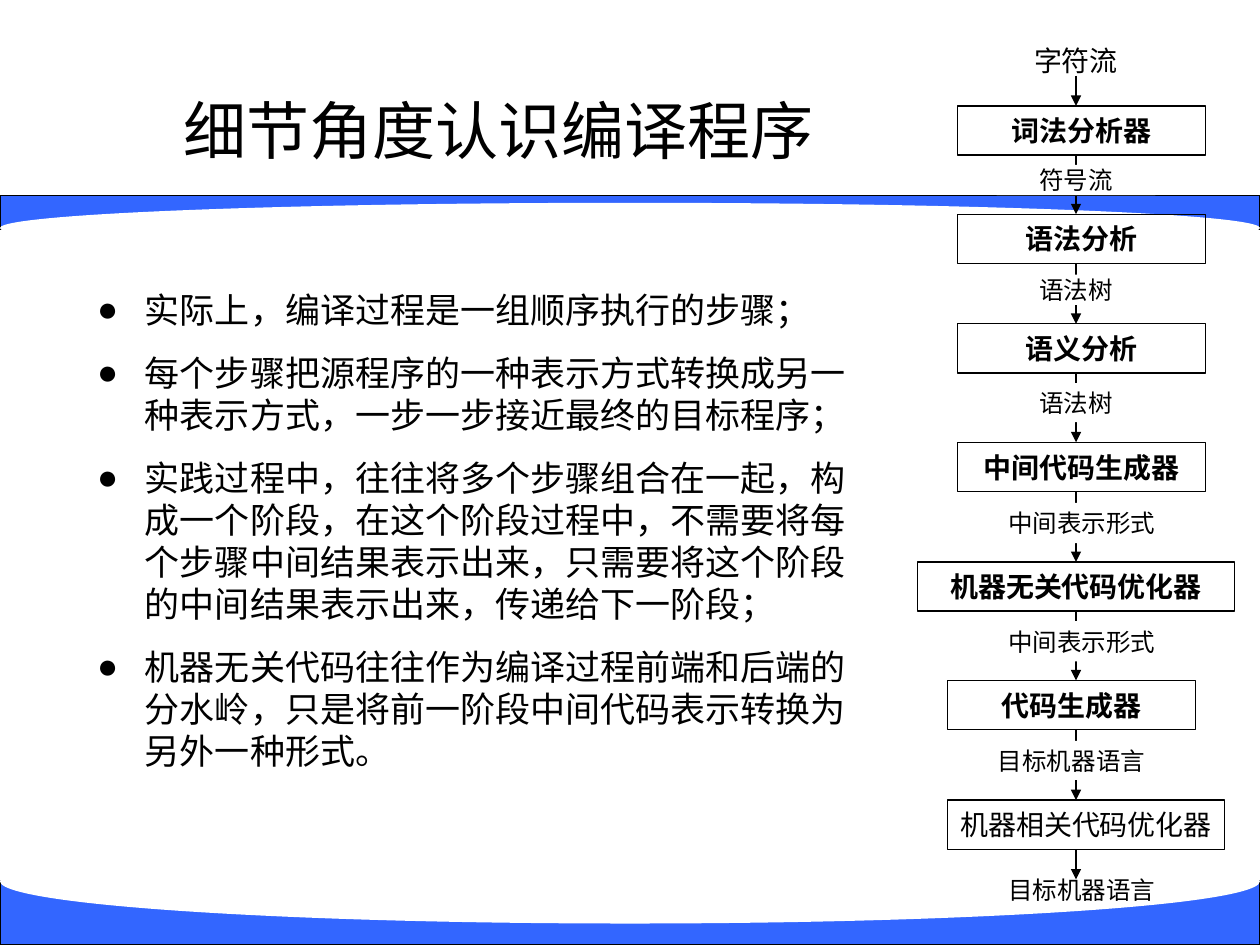
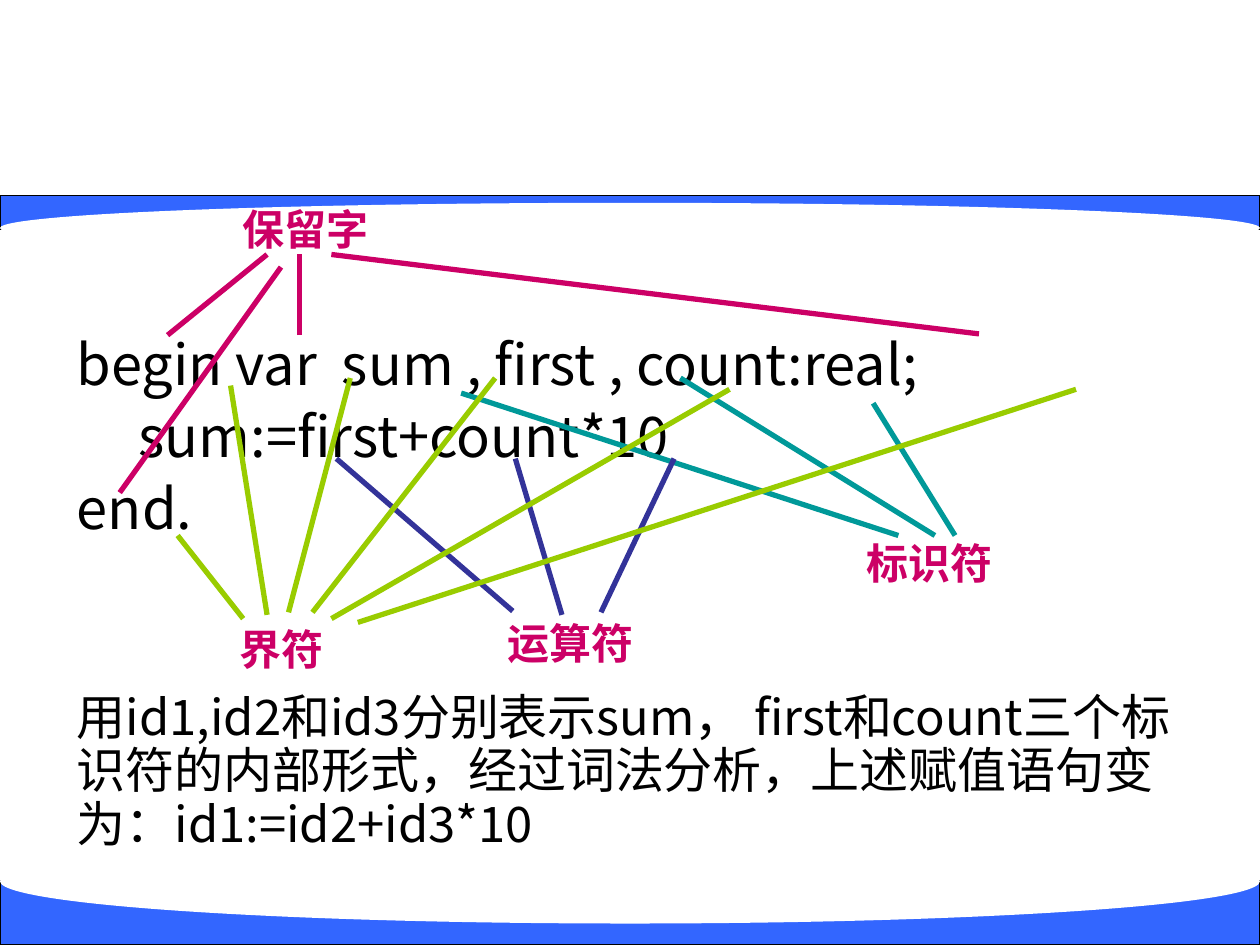
from pptx import Presentation
from pptx.dml.color import RGBColor
from pptx.enum.shapes import MSO_CONNECTOR, MSO_SHAPE
from pptx.enum.text import MSO_ANCHOR, MSO_AUTO_SIZE, PP_ALIGN
from pptx.oxml.ns import qn
from pptx.util import Inches, Pt
from lxml.etree import SubElement

BLACK = RGBColor(0x00, 0x00, 0x00)
WHITE = RGBColor(0xFF, 0xFF, 0xFF)
BLUE = RGBColor(0x33, 0x66, 0xFF)
MAGENTA = RGBColor(0xCC, 0x00, 0x66)
TEAL = RGBColor(0x00, 0x99, 0x99)
INDIGO = RGBColor(0x33, 0x33, 0x99)
LIME = RGBColor(0x99, 0xCC, 0x00)
CJK = "Noto Sans CJK SC"

# Shared bands: (preset, top, height, fill, outline)
BANDS = [
    (MSO_SHAPE.RECTANGLE, 1.55, 0.27, BLUE, BLACK),
    (MSO_SHAPE.OVAL, 1.61, 0.4, WHITE, None),
    (MSO_SHAPE.RECTANGLE, 6.99, 0.51, BLUE, BLACK),
    (MSO_SHAPE.OVAL, 6.66, 0.67, WHITE, None),
]

# Slide 1: compiler steps
STEPS_TITLE = "细节角度认识编译程序"
STEPS_POINTS = [
    "实际上，编译过程是一组顺序执行的步骤；",
    "每个步骤把源程序的一种表示方式转换成另一种表示方式，一步一步接近最终的目标程序；",
    "实践过程中，往往将多个步骤组合在一起，构成一个阶段，在这个阶段过程中，不需要将每个步骤中间结果表示出来，"
    "只需要将这个阶段的中间结果表示出来，传递给下一阶段；",
    "机器无关代码往往作为编译过程前端和后端的分水岭，只是将前一阶段中间代码表示转换为另外一种形式。",
]
FLOW_X, STEP_HEIGHT, FLOW_END = 8.54, 0.39, 6.98
FLOW_INPUT = ("字符流", 7.91, 0.28, 1.26, 0.39)
# (step, left, top, width, bold)
STEPS = [
    ("词法分析器", 7.6, 0.84, 1.97, True),
    ("语法分析", 7.6, 1.7, 1.97, True),
    ("语义分析", 7.6, 2.57, 1.97, True),
    ("中间代码生成器", 7.6, 3.51, 1.97, True),
    ("机器无关代码优化器", 7.28, 4.46, 2.52, True),
    ("代码生成器", 7.52, 5.4, 1.97, True),
    ("机器相关代码优化器", 7.52, 6.35, 2.2, False),
]
# What each step hands on: (result, left, top, width, height)
RESULTS = [
    ("符号流", 7.91, 1.31, 1.26, 0.24),
    ("语法树", 7.91, 2.18, 1.26, 0.24),
    ("语法树", 7.91, 3.04, 1.26, 0.31),
    ("中间表示形式", 7.76, 3.99, 1.65, 0.32),
    ("中间表示形式", 7.76, 4.93, 1.65, 0.32),
    ("目标机器语言", 7.68, 5.88, 1.65, 0.31),
    ("目标机器语言", 7.76, 6.9, 1.65, 0.32),
]

# Slide 2: (line, size, line pitch, space before, indent in inches)
PROGRAM = [
    ("begin var  sum , first , count:real;", 32, 41, 0, 0),
    ("sum:=first+count*10", 32, 41, 0, 0.49),
    ("end.", 32, 41, 0, 0),
    ("用id1,id2和id3分别表示sum， first和count三个标识符的内部形式，"
     "经过词法分析，上述赋值语句变为：id1:=id2+id3*10", 28, 30.6, 86.5, 0),
]
# (token class, label place, line colour, [(x1, y1, x2, y2), ...])
TOKENS = [
    ("保留字", (1.67, 1.57, 1.51, 0.5), MAGENTA, [
        (1.33, 2.66, 2.12, 2.02), (2.38, 2.66, 2.38, 2.02),
        (7.77, 2.65, 2.63, 2.02), (0.95, 3.91, 2.23, 2.12)]),
    ("标识符", (6.78, 4.22, 1.2, 0.5), TEAL, [
        (3.66, 3.12, 7.13, 4.25), (5.4, 3, 7.42, 4.25), (6.93, 3.2, 7.58, 4.25)]),
    ("运算符", (3.93, 4.85, 1.2, 0.5), INDIGO, [
        (2.67, 3.64, 4.07, 4.85), (4.09, 3.64, 4.46, 4.88), (5.35, 3.64, 4.77, 4.86)]),
    ("界符", (1.66, 4.9, 1.15, 0.5), LIME, [
        (1.41, 4.25, 1.93, 4.91), (1.83, 3.06, 2.12, 4.88), (2.78, 3, 2.29, 4.86),
        (3.93, 3, 2.48, 4.86), (5.79, 3.09, 2.63, 4.91), (8.54, 3.09, 2.84, 4.94)]),
]


def inches(*lengths):
    return [Inches(length) for length in lengths]


def write(frame, text, size, font, color=BLACK, bold=False, align=PP_ALIGN.LEFT,
          pitch=None, before=0, after=0, left=0, hanging=0, bullet=None):
    """Add one formatted paragraph to a text frame."""
    para = frame.add_paragraph() if frame.text else frame.paragraphs[0]
    para.alignment = align
    para.space_before, para.space_after = Pt(before), Pt(after)
    if pitch:
        para.line_spacing = Pt(pitch)
    props = para._p.get_or_add_pPr()
    props.set("marL", str(Inches(left)))
    props.set("indent", str(Inches(-hanging)))
    if bullet:
        SubElement(props, qn("a:buChar")).set("char", bullet)
    else:
        SubElement(props, qn("a:buNone"))
    run = para.add_run()
    run.text = text
    run.font.size, run.font.name, run.font.bold = Pt(size), font, bold
    run.font.color.rgb = color
    SubElement(run._r.get_or_add_rPr(), qn("a:ea")).set("typeface", CJK)


def place(holder, left, top, width, height, anchor):
    """Move a placeholder and return its text frame."""
    holder.left, holder.top, holder.width, holder.height = inches(left, top, width, height)
    frame = holder.text_frame
    frame.word_wrap, frame.auto_size = True, MSO_AUTO_SIZE.NONE
    frame.vertical_anchor = anchor
    return frame


def add_shape(slide, preset, box, fill=None, outline=None):
    shape = slide.shapes.add_shape(preset, *inches(*box))
    shape.shadow.inherit = False
    if fill is None:
        shape.fill.background()
    else:
        shape.fill.solid()
        shape.fill.fore_color.rgb = fill
    if outline is None:
        shape.line.fill.background()
    else:
        shape.line.color.rgb, shape.line.width = outline, Pt(0.75)
    return shape


def add_step(slide, text, box, size, bold=False, fill=None, outline=None):
    frame = add_shape(slide, MSO_SHAPE.RECTANGLE, box, fill, outline).text_frame
    frame.word_wrap, frame.vertical_anchor = False, MSO_ANCHOR.MIDDLE
    write(frame, text, size, "Karla", bold=bold, align=PP_ALIGN.CENTER)


def add_line(slide, ends, color, width, arrow=False):
    line = slide.shapes.add_connector(MSO_CONNECTOR.STRAIGHT, *inches(*ends))
    line.line.color.rgb, line.line.width = color, Pt(width)
    if arrow:
        SubElement(line.line._get_or_add_ln(), qn("a:tailEnd")).set("type", "triangle")
    SubElement(line._element.spPr, qn("a:effectLst"))


def add_bands(slide, layout):
    """Draw the bands and hand them to the layout, behind its placeholders."""
    tree = layout.element.cSld.spTree
    for position, (preset, top, height, fill, outline) in enumerate(BANDS, start=2):
        band = add_shape(slide, preset, (0, top, 10, height), fill, outline)
        tree.insert(position, band.element)


def build_steps(slide):
    # Title and bullet points
    title = place(slide.shapes.title, 1.26, 0.23, 5.4, 1.6, MSO_ANCHOR.MIDDLE)
    write(title, STEPS_TITLE, 36, "Arial", align=PP_ALIGN.CENTER)
    body = place(slide.placeholders[1], 0.67, 2.24, 6.22, 4.06, MSO_ANCHOR.TOP)
    for number, point in enumerate(STEPS_POINTS):
        write(body, point, 20, "Arial", pitch=24, before=6 if number else 0, after=6,
              left=0.38, hanging=0.38, bullet="●")

    # Flow: arrows first, so that the results cover their middles
    tops = [top for _, _, top, _, _ in STEPS]
    starts = [0.6] + [top + STEP_HEIGHT for top in tops]
    for start, end in zip(starts, tops + [FLOW_END]):
        add_line(slide, (FLOW_X, start, FLOW_X, end), BLACK, 0.75, arrow=True)
    add_step(slide, FLOW_INPUT[0], FLOW_INPUT[1:], 16)
    for step, left, top, width, bold in STEPS:
        add_step(slide, step, (left, top, width, STEP_HEIGHT), 16, bold, outline=BLACK)
    for result, *box in RESULTS:
        last = box == list(RESULTS[-1][1:])
        add_step(slide, result, box, 14, fill=None if last else WHITE)


def build_tokens(slide):
    # Program text
    title = slide.shapes.title.element
    title.getparent().remove(title)
    body = place(slide.placeholders[1], 0.51, 2.02, 9, 5.03, MSO_ANCHOR.TOP)
    body.margin_top = Inches(0.56)
    for line, size, pitch, before, indent in PROGRAM:
        write(body, line, size, CJK, pitch=pitch, before=before, left=indent)

    # Token classes and their lines
    for token, box, color, lines in TOKENS:
        for ends in lines:
            add_line(slide, ends, color, 3)
        label = slide.shapes.add_textbox(*inches(*box)).text_frame
        label.word_wrap = True
        write(label, token, 24, "Times New Roman", MAGENTA, bold=True, align=PP_ALIGN.CENTER)


def main():
    deck = Presentation()
    deck.slide_width, deck.slide_height = inches(10, 7.5)
    layout = deck.slide_layouts[1]
    steps, tokens = [deck.slides.add_slide(layout) for _ in range(2)]
    add_bands(steps, layout)
    build_steps(steps)
    build_tokens(tokens)
    deck.save("out.pptx")


if __name__ == "__main__":
    main()
